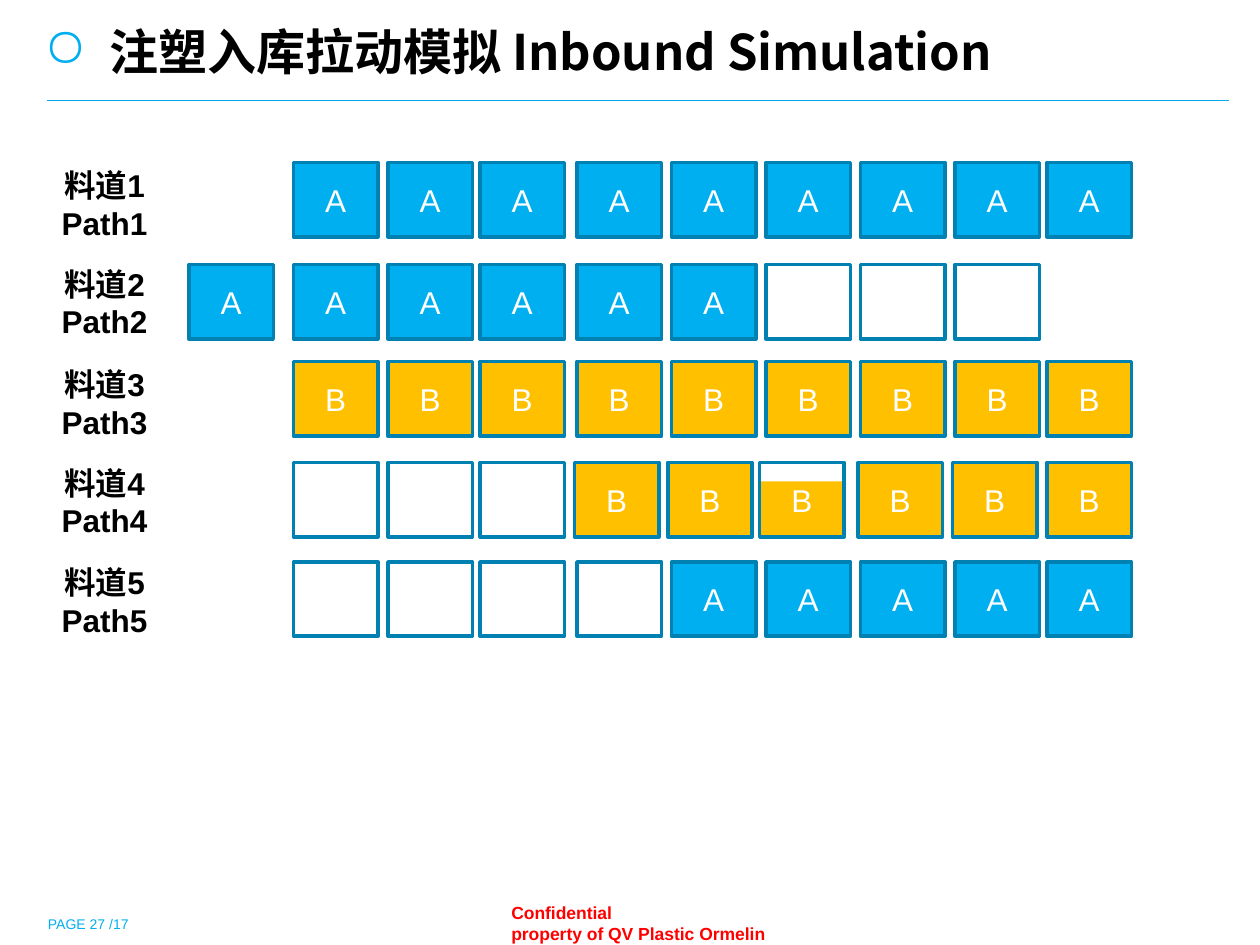
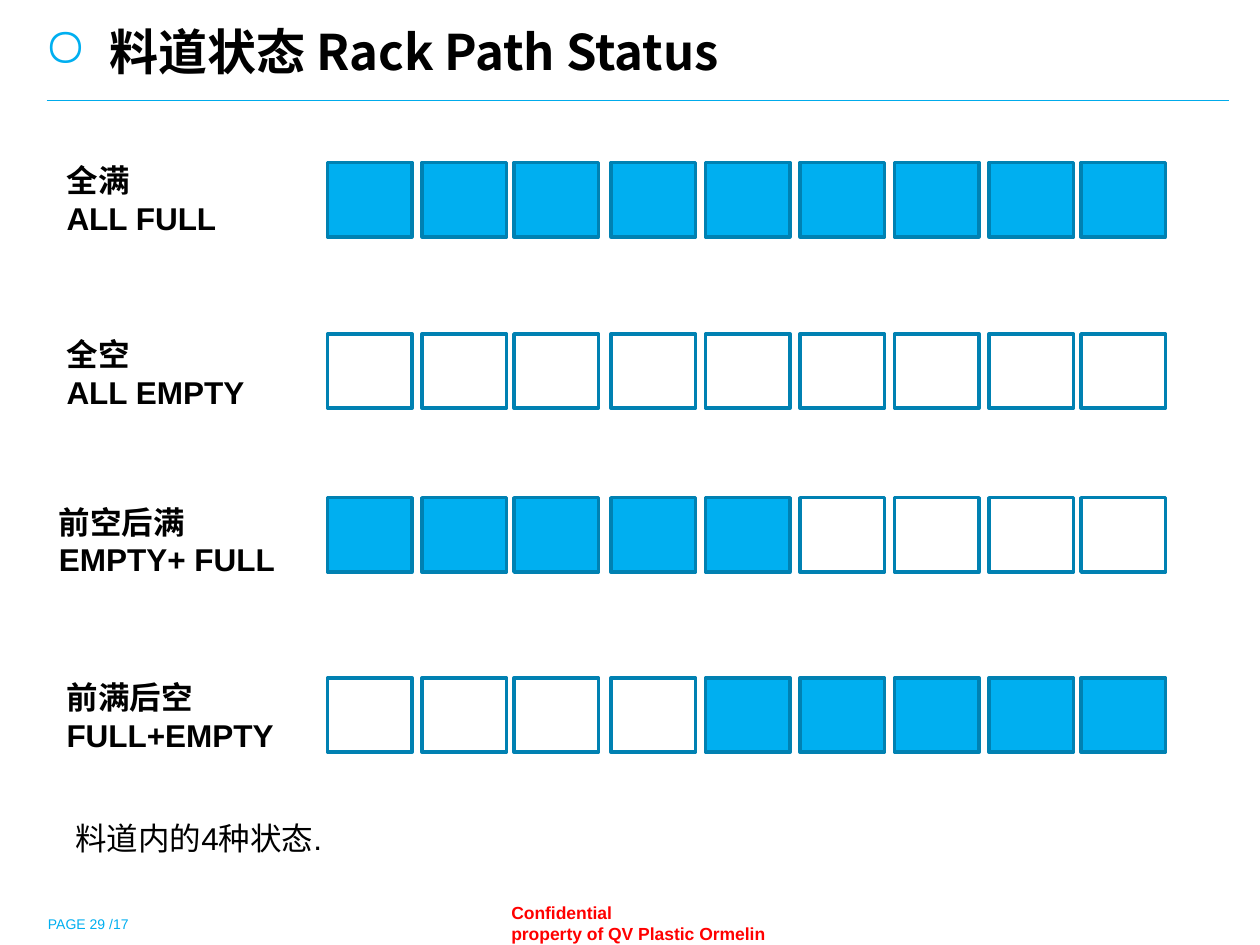
from lxml.etree import SubElement
from pptx import Presentation
from pptx.dml.color import RGBColor
from pptx.enum.shapes import MSO_CONNECTOR, MSO_SHAPE
from pptx.enum.text import MSO_ANCHOR, MSO_AUTO_SIZE, PP_ALIGN
from pptx.oxml.ns import qn
from pptx.util import Pt

BLUE = RGBColor(0x00, 0xAF, 0xF0)
RULE = RGBColor(0x00, 0xAB, 0xEB)
EDGE = RGBColor(0x00, 0x81, 0xB2)
GOLD = RGBColor(0xFF, 0xC0, 0x00)
WHITE = RGBColor(0xFF, 0xFF, 0xFF)
BLACK = RGBColor(0x00, 0x00, 0x00)
RED = RGBColor(0xFF, 0x00, 0x00)

HAN = "Noto Sans CJK SC"
TITLE = {"name": HAN, "size": Pt(28), "bold": True, "color": BLACK}
LABEL = {"name": "Arial", "size": Pt(18), "bold": True, "color": BLACK}
NOTE = {**LABEL, "bold": False}
MARK = {**NOTE, "color": WHITE}
PAGE = {**NOTE, "size": Pt(8), "color": BLUE}
OWNER = {**LABEL, "size": Pt(10), "color": RED}
FLAT = {"margin_left": 0, "margin_right": 0, "margin_top": 0,
        "margin_bottom": 0, "vertical_anchor": MSO_ANCHOR.BOTTOM}
HEAD = {"margin_left": Pt(7.2), "margin_top": 0, "margin_bottom": 0,
        "vertical_anchor": MSO_ANCHOR.TOP, "word_wrap": True,
        "auto_size": MSO_AUTO_SIZE.NONE}

CELL_W, CELL_H, STEP = 48.24, 42.48, 54
TIGHT = {2: 1.44, 8: 1.44}
LOOSE = {3: 1.44, 4: 2.16, 5: 3.6, 6: 1.44, 7: 1.44, 8: 1.44}
FILLS = {"A": BLUE, "B": GOLD, "-": WHITE, "H": None}

LANES = [
    ("AAAAAAAAA", 92.88, 91.44, TIGHT),
    ("AAAAA---", 151.2, 147.6, TIGHT),
    ("BBBBBBBBB", 206.64, 205.2, TIGHT),
    ("---BBHBBB", 264.24, 261.36, {**TIGHT, **LOOSE}),
    ("----AAAAA", 321.12, 318.24, TIGHT),
]
STATES = [
    ("AAAAAAAAA", 92.88, 30.96, 88.56, "全满", "ALL FULL"),
    ("---------", 190.8, 30.96, 187.92, "全空", "ALL EMPTY"),
    ("AAAAA----", 284.4, 26.64, 283.68, "前空后满", "EMPTY+ FULL"),
    ("----AAAAA", 387.36, 30.96, 383.76, "前满后空", "FULL+EMPTY"),
]


def apply(item, look):
    for key, value in look.items():
        if key == "color":
            item.color.rgb = value
        else:
            setattr(item, key, value)


def write(para, text, look):
    run = para.add_run()
    run.text = text
    apply(run.font, look)
    SubElement(run._r.get_or_add_rPr(), qn("a:ea"), typeface=HAN)


def add_text(slide, lines, box, look, align=PP_ALIGN.LEFT, frame={}):
    body = slide.shapes.add_textbox(*map(Pt, box)).text_frame
    apply(body, {"word_wrap": True, **frame})
    for num, line in enumerate(lines):
        para = body.add_paragraph() if num else body.paragraphs[0]
        para.alignment = align
        write(para, line, look)


def add_rect(slide, box, fill, edge=None):
    rect = slide.shapes.add_shape(MSO_SHAPE.RECTANGLE, *map(Pt, box))
    rect.shadow.inherit = False
    if fill is None:
        rect.fill.background()
    else:
        rect.fill.solid()
        rect.fill.fore_color.rgb = fill
    if edge is None:
        rect.line.fill.background()
    else:
        apply(rect.line, {"color": edge, "width": Pt(2)})
    return rect


def add_cell(slide, left, top, kind, text=""):
    if kind == "H":
        for layer in range(3):
            add_rect(slide, (left, top + 10.8 + 10.08 * layer, CELL_W, 11.52), GOLD)
    cell = add_rect(slide, (left, top, CELL_W, CELL_H), FILLS[kind], EDGE)
    if text:
        cell.text_frame.vertical_anchor = MSO_ANCHOR.MIDDLE
        para = cell.text_frame.paragraphs[0]
        para.alignment = PP_ALIGN.CENTER
        write(para, text, MARK)


def add_row(slide, left, top, kinds, marks={}, shifts=TIGHT):
    for col, kind in enumerate(kinds):
        add_cell(slide, left + STEP * col - shifts.get(col, 0), top, kind,
                 marks.get(kind, ""))


def add_bullet(para):
    props = para._p.get_or_add_pPr()
    props.set("marL", str(Pt(37.44)))
    props.set("indent", str(-Pt(37.44)))
    tint = SubElement(props, qn("a:buClr"))
    SubElement(tint, qn("a:srgbClr"), val=str(BLUE))
    SubElement(props, qn("a:buSzPct"), val="110000")
    SubElement(props, qn("a:buChar"), char="○")


def add_rule(slide):
    line = slide.shapes.add_connector(
        MSO_CONNECTOR.STRAIGHT, Pt(26.64), Pt(57.6), Pt(702), Pt(57.6))
    apply(line.line, {"color": RULE, "width": Pt(0.75)})
    SubElement(line._element.spPr, qn("a:effectLst"))


def add_slide(deck, title, page):
    slide = deck.slides.add_slide(deck.slide_layouts[5])
    head = slide.shapes.title
    spots = zip(("left", "top", "width", "height"), (18, 12.24, 695.52, 33.84))
    apply(head, {side: Pt(value) for side, value in spots})
    apply(head.text_frame, HEAD)
    para = head.text_frame.paragraphs[0]
    para.alignment = PP_ALIGN.LEFT
    add_bullet(para)
    write(para, title, TITLE)
    add_rule(slide)
    add_text(slide, ["Confidential", "property of QV Plastic Ormelin"],
             (285.12, 511.92, 175, 30.96), OWNER)
    add_text(slide, [f"PAGE {page} /17"], (27.36, 514.8, 200, 18), PAGE, frame=FLAT)
    return slide


def add_lanes(deck):
    slide = add_slide(deck, "注塑入库拉动模拟 Inbound Simulation", 27)
    marks = {"A": "A", "B": "B", "H": "B"}
    for num, (kinds, top, label, shifts) in enumerate(LANES, 1):
        add_row(slide, 167.76, top, kinds, marks, shifts)
        add_text(slide, [f"料道{num}", f"Path{num}"], (14.4, label, 90.72, 51.12),
                 LABEL, PP_ALIGN.CENTER)
    add_cell(slide, 108, LANES[1][1], "A", "A")


def add_states(deck):
    slide = add_slide(deck, "料道状态 Rack Path Status", 29)
    for kinds, top, left, label, *lines in STATES:
        add_row(slide, 187.2, top, kinds)
        add_text(slide, lines, (left, label, 155.52, 51.12), LABEL)
    add_text(slide, ["料道内的4种状态."], (36, 464.4, 581.76, 28.8), NOTE)


def main():
    deck = Presentation()
    apply(deck, {"slide_width": Pt(720), "slide_height": Pt(540)})
    add_lanes(deck)
    add_states(deck)
    deck.save("out.pptx")


if __name__ == "__main__":
    main()
